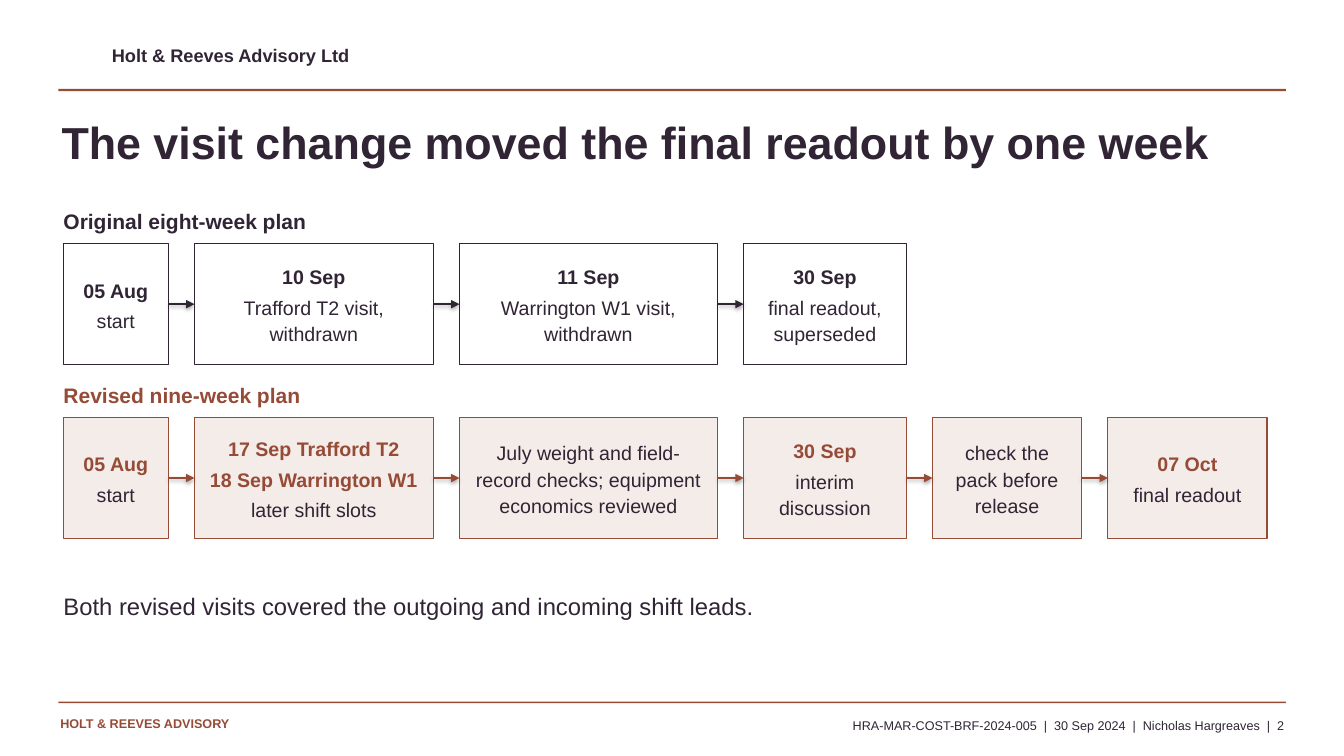
from lxml.etree import SubElement
from pptx import Presentation
from pptx.dml.color import RGBColor
from pptx.enum.shapes import MSO_CONNECTOR, MSO_SHAPE
from pptx.enum.text import MSO_ANCHOR, MSO_AUTO_SIZE, PP_ALIGN
from pptx.oxml.ns import qn
from pptx.util import Cm, Pt

FONT = "Arial"
INK = RGBColor(0x30, 0x24, 0x35)
RUST = RGBColor(0x96, 0x4B, 0x37)
BLUSH = RGBColor(0xF4, 0xEC, 0xE8)
WHITE = RGBColor(0xFF, 0xFF, 0xFF)

LEFT, CONTENT_WIDTH = 1.6, 30.33
BOX_WIDTHS = [2.64, 6.02, 6.5, 4.1, 3.76, 4.01]
BOX_HEIGHT, GAP, LABEL_DROP = 3.05, 0.66, 0.96
LINE_SPACING = 1.12

# Each step: bold date lines, then the plain description
ORIGINAL_STEPS = [
    (["05 Aug"], "start"),
    (["10 Sep"], "Trafford T2 visit, withdrawn"),
    (["11 Sep"], "Warrington W1 visit, withdrawn"),
    (["30 Sep"], "final readout, superseded"),
]
REVISED_STEPS = [
    (["05 Aug"], "start"),
    (["17 Sep Trafford T2", "18 Sep Warrington W1"], "later shift slots"),
    ([], "July weight and field-record checks; equipment economics reviewed"),
    (["30 Sep"], "interim discussion"),
    ([], "check the pack before release"),
    (["07 Oct"], "final readout"),
]


def place(sp, left, top, width, height):
    sp.left, sp.top, sp.width, sp.height = Cm(left), Cm(top), Cm(width), Cm(height)


def setup_frame(tf, anchor=MSO_ANCHOR.TOP, side=0):
    tf.word_wrap = True
    tf.auto_size = MSO_AUTO_SIZE.NONE
    tf.vertical_anchor = anchor
    tf.margin_left = tf.margin_right = Cm(side)
    tf.margin_top = tf.margin_bottom = 0


def remove_bullet(p):
    pPr = p._p.get_or_add_pPr()
    pPr.set("marL", "0")
    pPr.set("indent", "0")
    SubElement(pPr, qn("a:buNone"))


def format_paragraph(p, size, color, bold=False, align=PP_ALIGN.LEFT,
                     spacing=LINE_SPACING, after=0):
    p.alignment = align
    p.line_spacing = spacing
    p.space_before, p.space_after = Pt(0), Pt(after)
    for r in p.runs:
        r.font.name, r.font.size, r.font.bold = FONT, Pt(size), bold
        r.font.color.rgb = color


def set_text(sp, text, size, color, **style):
    tf = sp.text_frame
    setup_frame(tf)
    tf.text = text
    format_paragraph(tf.paragraphs[0], size, color, **style)


def add_text(s, box, text, size, color, **style):
    sp = s.shapes.add_textbox(*map(Cm, box))
    set_text(sp, text, size, color, **style)


def add_block(s, box, fill, line=None):
    sp = s.shapes.add_shape(MSO_SHAPE.RECTANGLE, *map(Cm, box))
    sp.shadow.inherit = False
    sp.fill.solid()
    sp.fill.fore_color.rgb = fill
    if line is None:
        sp.line.fill.background()
    else:
        sp.line.color.rgb = line
        sp.line.width = Pt(0.85)
    return sp


def add_step(s, box, dates, description, accent, fill):
    sp = add_block(s, box, fill, accent)
    tf = sp.text_frame
    setup_frame(tf, MSO_ANCHOR.MIDDLE, 0.25)
    tf.text = "\n".join(dates + [description])
    *date_lines, last = tf.paragraphs
    for p in date_lines:
        format_paragraph(p, 14, accent, bold=True, align=PP_ALIGN.CENTER, after=3)
    format_paragraph(last, 14, INK, align=PP_ALIGN.CENTER)
    return sp


def add_arrow(s, start, end, color):
    cx = s.shapes.add_connector(MSO_CONNECTOR.STRAIGHT, 0, 0, 0, 0)
    cx.begin_connect(start, 3)
    cx.end_connect(end, 1)
    cx.line.color.rgb = color
    cx.line.width = Pt(1.15)
    SubElement(cx.line._get_or_add_ln(), qn("a:tailEnd"), type="triangle")


def add_plan(s, top, label, steps, accent, fill):
    add_text(s, (LEFT, top, CONTENT_WIDTH, 0.74), label, 15, accent, bold=True)
    left, previous = LEFT, None
    for width, (dates, description) in zip(BOX_WIDTHS, steps):
        box = (left, top + LABEL_DROP, width, BOX_HEIGHT)
        sp = add_step(s, box, dates, description, accent, fill)
        if previous is not None:
            add_arrow(s, previous, sp, accent)
        previous = sp
        left += width + GAP


def add_header_and_footer(s):
    add_text(s, (2.82, 1.12, 15.24, 0.69), "Holt & Reeves Advisory Ltd", 13, INK,
             bold=True, spacing=1.0)
    for top, height in ((2.24, 0.06), (17.68, 0.04)):
        add_block(s, (1.47, top, 30.94, height), RUST)
    add_text(s, (1.52, 18.03, 8.64, 0.64), "HOLT & REEVES ADVISORY", 9, RUST,
             bold=True, spacing=1.0)
    add_text(s, (10.46, 18.04, 21.9, 0.64),
             "HRA-MAR-COST-BRF-2024-005  |  30 Sep 2024  |  Nicholas Hargreaves  |  2",
             9, INK, align=PP_ALIGN.RIGHT)


def fill_placeholders(s):
    title, body = s.shapes.title, s.placeholders[1]
    place(title, 1.55, 2.72, 30.48, 1.98)
    set_text(title, "The visit change moved the final readout by one week", 32, INK,
             bold=True)
    place(body, LEFT, 14.83, CONTENT_WIDTH, 2.03)
    set_text(body, "Both revised visits covered the outgoing and incoming shift leads.",
             17, INK)
    remove_bullet(body.text_frame.paragraphs[0])


def main():
    prs = Presentation()
    prs.slide_width, prs.slide_height = Cm(33.87), Cm(19.05)
    s = prs.slides.add_slide(prs.slide_layouts[1])
    add_header_and_footer(s)
    fill_placeholders(s)
    # The two timelines share one column grid
    add_plan(s, 5.18, "Original eight-week plan", ORIGINAL_STEPS, INK, WHITE)
    add_plan(s, 9.56, "Revised nine-week plan", REVISED_STEPS, RUST, BLUSH)
    prs.save("out.pptx")


if __name__ == "__main__":
    main()
